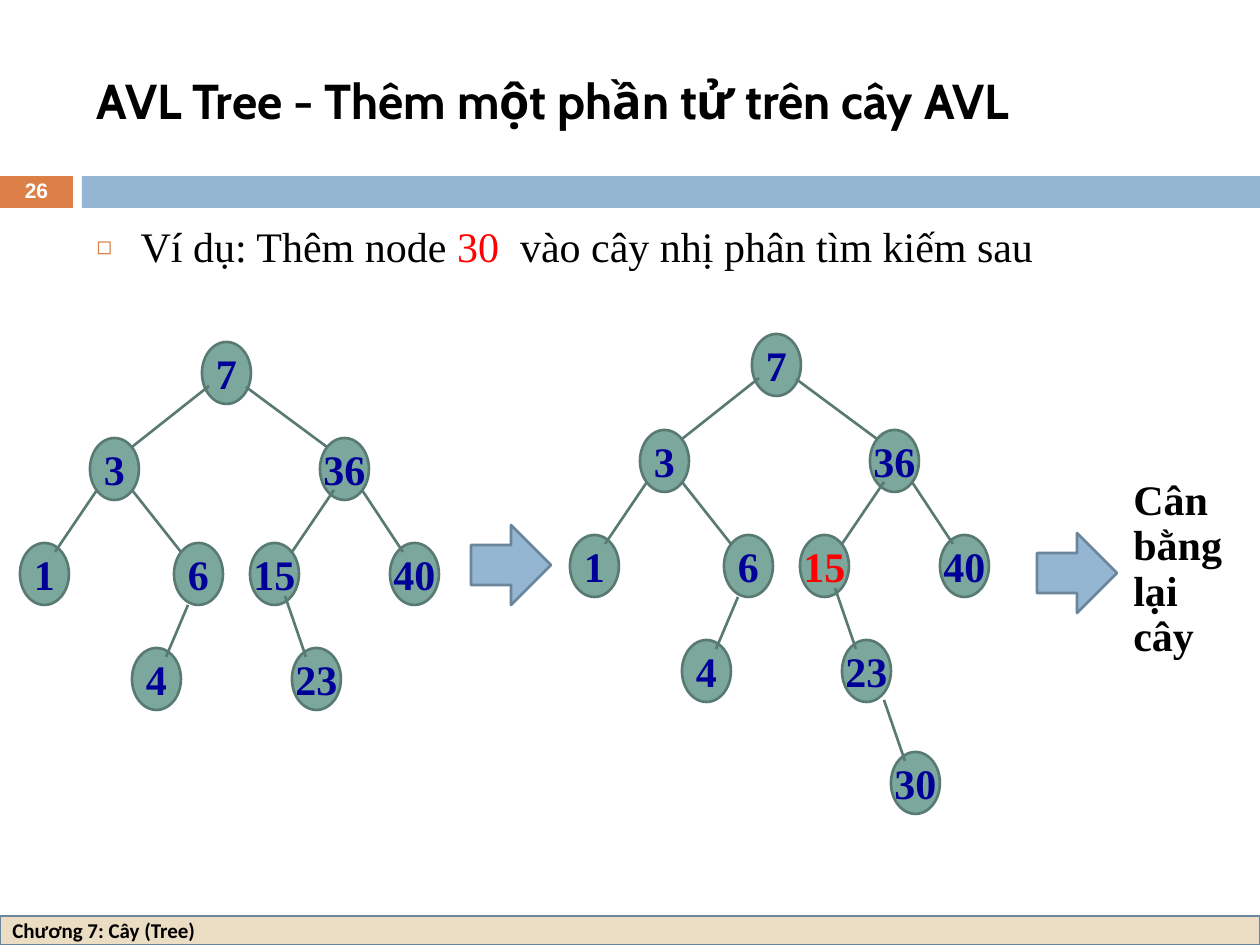
import lxml.etree
import pptx
import pptx.dml.color
import pptx.enum.shapes
import pptx.enum.text
import pptx.oxml.ns
import pptx.util

EMU_PER_PX = 914400 / 126
SHAPES = pptx.enum.shapes.MSO_SHAPE
ALIGN = pptx.enum.text.PP_ALIGN
MIDDLE = pptx.enum.text.MSO_ANCHOR.MIDDLE
TOP = pptx.enum.text.MSO_ANCHOR.TOP

COLOURS = {
    "black": "000000", "white": "FFFFFF", "red": "FF0000", "navy": "000099",
    "orange": "DD8047", "blue": "94B6D2", "slate": "6B859A", "sand": "EBDDC3",
    "green": "7BA79D", "dark_green": "597A72",
}

NODE_SIZE = (49, 62)
NODES = {
    "7": (202, 342), "3": (90, 438), "36": (320, 438), "1": (20, 543),
    "6": (174, 543), "15": (250, 543), "40": (390, 543), "23": (292, 648),
    "4": (132, 648),
}
BRANCHES = [
    (209, 386, 132, 447), (246, 387, 327, 447), (97, 490, 55, 552),
    (132, 490, 181, 552), (188, 605, 166, 657), (334, 490, 292, 552),
    (362, 490, 403, 552), (285, 596, 306, 657),
]
INSERTED_NODE = {"30": (341, 760)}
INSERTED_BRANCH = (334, 708, 355, 769)


def px(*lengths):
    """Turn pixel lengths into EMU."""
    return [pptx.util.Emu(round(length * EMU_PER_PX)) for length in lengths]


def rgb(name):
    """Look up a colour by name."""
    return pptx.dml.color.RGBColor.from_string(COLOURS[name])


def set_values(target, values):
    """Set each attribute in values on the target."""
    for attribute, value in values.items():
        setattr(target, attribute, value)


def write(frame, runs, size, face, bold=True, wrap=True, anchor=MIDDLE, **layout):
    """Write one paragraph of (text, colour) runs."""
    set_values(frame, {
        "word_wrap": wrap, "vertical_anchor": anchor,
        "auto_size": pptx.enum.text.MSO_AUTO_SIZE.NONE,
    })
    paragraph = frame.paragraphs[0]
    set_values(paragraph, {"alignment": ALIGN.LEFT, "space_before": pptx.util.Pt(0), **layout})
    for text, colour in runs:
        run = paragraph.add_run()
        run.text = text
        set_values(run.font, {"size": pptx.util.Pt(size), "name": face, "bold": bold})
        run.font.color.rgb = rgb(colour)
    return paragraph


def add_bullet(paragraph, symbol, colour, percent, indent):
    """Give a paragraph a coloured bullet with a hanging indent."""
    properties = paragraph._p.get_or_add_pPr()
    margin = px(indent)[0]
    properties.set("marL", str(margin))
    properties.set("indent", str(-margin))
    qn = pptx.oxml.ns.qn
    bullet_colour = lxml.etree.SubElement(properties, qn("a:buClr"))
    lxml.etree.SubElement(bullet_colour, qn("a:srgbClr"), val=COLOURS[colour])
    lxml.etree.SubElement(properties, qn("a:buSzPct"), val=str(percent * 1000))
    lxml.etree.SubElement(properties, qn("a:buChar"), char=symbol)


def place(shape, box):
    """Move and size a shape."""
    set_values(shape, dict(zip(("left", "top", "width", "height"), px(*box))))


def draw_line(line, colour):
    """Style an outline or a branch."""
    line.color.rgb = rgb(colour)
    line.width = pptx.util.Pt(1.5)


def add_block(shapes, kind, box, fill, outline=None):
    """Add a filled preset shape."""
    block = shapes.add_shape(kind, *px(*box))
    block.shadow.inherit = False
    block.fill.solid()
    block.fill.fore_color.rgb = rgb(fill)
    if outline:
        draw_line(block.line, outline)
    else:
        block.line.fill.background()
    return block


def add_label(slide, box, text, size, face, colour, **layout):
    """Add a text box with one bold paragraph."""
    label = slide.shapes.add_textbox(*px(*box))
    write(label.text_frame, [(text, colour)], size, face, **layout)


def add_tree(slide, nodes, branches, offset=(0, 0), marked=None):
    """Add a grouped tree of nodes and branches, shifted by offset."""
    dx, dy = offset
    tree = slide.shapes.add_group_shape().shapes
    for key, (left, top) in nodes.items():
        node = add_block(tree, SHAPES.OVAL, (left + dx, top + dy, *NODE_SIZE),
                         "green", "dark_green")
        write(node.text_frame, [(key, "red" if key == marked else "navy")], 24,
              "Times New Roman", wrap=False, alignment=ALIGN.CENTER)
    for x1, y1, x2, y2 in branches:
        branch = tree.add_connector(pptx.enum.shapes.MSO_CONNECTOR.STRAIGHT,
                                    *px(x1 + dx, y1 + dy, x2 + dx, y2 + dy))
        draw_line(branch.line, "dark_green")
        lxml.etree.SubElement(branch._element.spPr, pptx.oxml.ns.qn("a:effectLst"))


def add_frame(slide):
    """Add the header bands, the page number and the footer."""
    add_block(slide.shapes, SHAPES.RECTANGLE, (0, 176, 73, 32), "orange")
    add_block(slide.shapes, SHAPES.RECTANGLE, (82, 176, 1178, 32), "blue")
    footer = add_block(slide.shapes, SHAPES.RECTANGLE, (0, 916, 1260, 29), "sand", "slate")
    write(footer.text_frame, [("Chương 7: Cây (Tree)", "black")], 12, "Calibri")
    add_label(slide, (0, 175, 73, 34), "26", 12, "Arial", "white",
              alignment=ALIGN.CENTER, line_spacing=0.8)


def add_heading(slide):
    """Fill the title and the task line."""
    title, task = slide.placeholders
    place(title, (84, 32, 1124, 136))
    write(title.text_frame, [("AVL Tree - Thêm một phần tử trên cây AVL", "black")], 28, "Cabin")
    place(task, (84, 220, 1124, 63))
    task_runs = [("Ví dụ: Thêm node", "black"), (" 30", "red"),
                 ("  vào cây nhị phân tìm kiếm sau", "black")]
    paragraph = write(task.text_frame, task_runs, 24, "Times New Roman", bold=False,
                      anchor=TOP, line_spacing=0.9)
    add_bullet(paragraph, "◻", "orange", 60, 44)


def main():
    """Build the slide and save it."""
    deck = pptx.Presentation()
    deck.slide_width, deck.slide_height = px(1260, 945)
    slide = deck.slides.add_slide(deck.slide_layouts[1])
    add_frame(slide)
    add_heading(slide)
    add_tree(slide, NODES | INSERTED_NODE, BRANCHES + [INSERTED_BRANCH], (550, -8), "15")
    add_tree(slide, NODES, BRANCHES)
    for left, top in ((471, 525), (1037, 533)):
        add_block(slide.shapes, SHAPES.RIGHT_ARROW, (left, top, 80, 80), "blue", "slate")
    add_label(slide, (1121, 473, 124, 205), "Cân bằng lại cây", 24, "Times New Roman",
              "black", anchor=TOP, line_spacing=0.9)
    deck.save("out.pptx")


if __name__ == "__main__":
    main()
